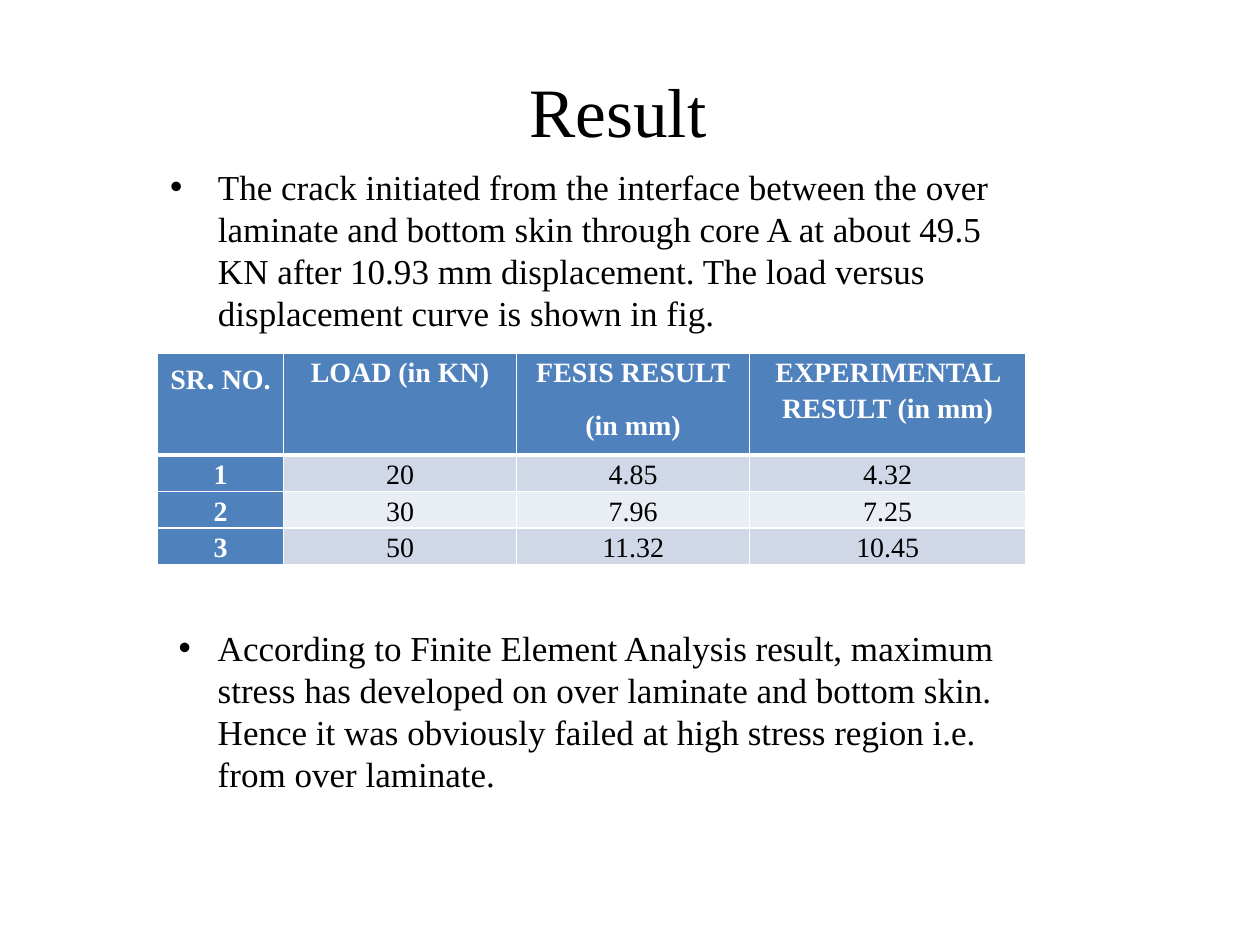
from pptx import Presentation
from pptx.dml.color import RGBColor
from pptx.enum.text import MSO_ANCHOR, MSO_AUTO_SIZE, PP_ALIGN
from pptx.oxml import parse_xml
from pptx.oxml.ns import nsdecls
from pptx.util import Inches, Pt

FONT = "Times New Roman"
BLACK, WHITE, BLUE = "000000", "FFFFFF", "4F81BD"
BANDS = ("D0D8E8", "E9EDF4")

TITLE = "Result"
CRACK = ("The crack initiated from the interface between the over laminate and bottom skin "
         "through core A at about 49.5 KN after 10.93 mm displacement. The load versus "
         "displacement curve is shown in fig. ")
STRESS = ("According to Finite Element Analysis result, maximum stress has developed on over "
          "laminate and bottom skin. Hence it was obviously failed at high stress region i.e. "
          "from over laminate.")
ROWS = [
    ("SR. NO.", "LOAD (in KN)", "FESIS RESULT\n(in mm)", "EXPERIMENTAL RESULT (in mm)"),
    ("1", "20", "4.85", "4.32"),
    ("2", "30", "7.96", "7.25"),
    ("3", "50", "11.32", "10.45"),
]
COLUMN_WIDTHS = (1, 1.85, 1.85, 2.19)
ROW_HEIGHTS = (0.81, 0.29, 0.29, 0.29)


def rgb(value):
    return RGBColor.from_string(value)


def format_run(run, size, color=BLACK, bold=False):
    run.font.name = FONT
    run.font.size = Pt(size)
    run.font.bold = bold
    run.font.color.rgb = rgb(color)


def place(shape, *box):
    shape.left, shape.top, shape.width, shape.height = map(Inches, box)


def write(shape, text, size):
    frame = shape.text_frame
    frame.text = text
    frame.word_wrap = True
    frame.auto_size = MSO_AUTO_SIZE.NONE
    paragraph = frame.paragraphs[0]
    format_run(paragraph.runs[0], size)
    return paragraph


def add_bullet(paragraph, indent):
    properties = paragraph._p.get_or_add_pPr()
    properties.set("marL", str(Inches(indent)))
    properties.set("indent", str(-Inches(indent)))
    properties.append(parse_xml(f'<a:buFont {nsdecls("a")} typeface="Arial"/>'))
    properties.append(parse_xml(f'<a:buChar {nsdecls("a")} char="&#8226;"/>'))


def set_borders(cell, bottom, top):
    properties = cell._tc.get_or_add_tcPr()
    for index, (side, width) in enumerate((("L", 1), ("R", 1), ("T", top), ("B", bottom))):
        properties.insert(index, parse_xml(
            f'<a:ln{side} {nsdecls("a")} w="{Pt(width)}"><a:solidFill>'
            f'<a:srgbClr val="{WHITE}"/></a:solidFill></a:ln{side}>'))


def fill_cell(cell, text, row, column):
    heading = row == 0 or column == 0
    cell.fill.solid()
    cell.fill.fore_color.rgb = rgb(BLUE if heading else BANDS[(row - 1) % 2])
    cell.margin_left = cell.margin_right = Inches(0.07)
    cell.margin_top = cell.margin_bottom = 0
    set_borders(cell, bottom=3 if row == 0 else 1, top=3 if row == 1 else 1)
    cell.text_frame.text = text
    for paragraph in cell.text_frame.paragraphs:
        paragraph.alignment = PP_ALIGN.CENTER
        paragraph.line_spacing = 1.15
        paragraph.space_after = Pt(10)
        if "." in paragraph.text and row == 0:
            before, after = paragraph.text.split(".", 1)
            paragraph.text = before
            for part in (".", after):
                paragraph.add_run().text = part
        for run in paragraph.runs:
            format_run(run, 20 if run.text == "." else 16, WHITE if heading else BLACK, heading)


presentation = Presentation()
presentation.slide_width, presentation.slide_height = Inches(10), Inches(7.5)
slide = presentation.slides.add_slide(presentation.slide_layouts[1])

title = slide.shapes.title
place(title, 1.04, 0.48, 7.73, 0.79)
write(title, TITLE, 39.6).alignment = PP_ALIGN.CENTER
title.text_frame.vertical_anchor = MSO_ANCHOR.MIDDLE

body = slide.placeholders[1]
place(body, 1.25, 1.26, 6.97, 1.58)
add_bullet(write(body, CRACK, 20), 0.38)

table_frame = slide.shapes.add_table(len(ROWS), len(COLUMN_WIDTHS), Inches(1.25), Inches(2.8),
                                     Inches(sum(COLUMN_WIDTHS)), Inches(sum(ROW_HEIGHTS)))
table = table_frame.table
table.first_col = True
for column, width in zip(table.columns, COLUMN_WIDTHS):
    column.width = Inches(width)
for row, height in zip(table.rows, ROW_HEIGHTS):
    row.height = Inches(height)
for row, texts in enumerate(ROWS):
    for column, text in enumerate(texts):
        fill_cell(table.cell(row, column), text, row, column)

conclusion = slide.shapes.add_textbox(Inches(1.32), Inches(4.92), Inches(6.83), Inches(1.45))
add_bullet(write(conclusion, STRESS, 20), 0.31)

presentation.save("out.pptx")
